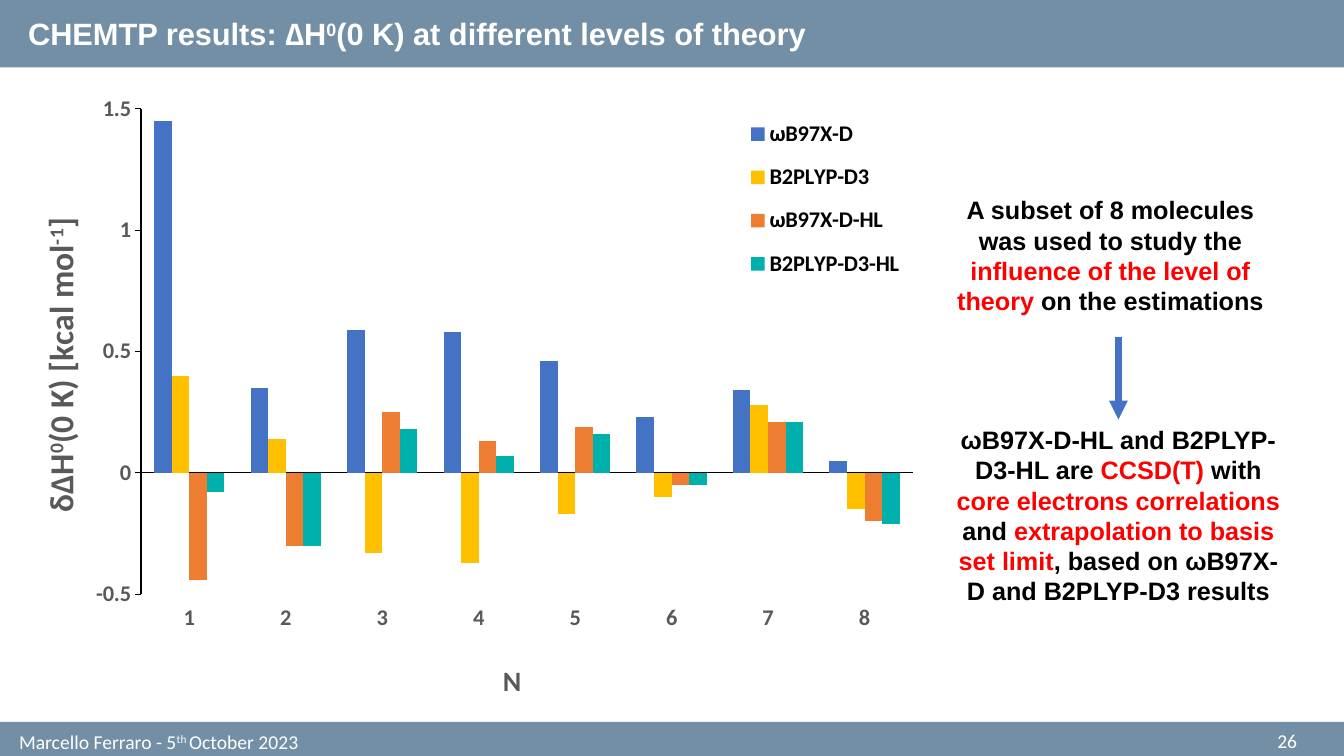
import pptx
import pptx.chart.data
import pptx.dml.color
import pptx.enum.chart
import pptx.enum.shapes
import pptx.enum.text
import pptx.oxml
import pptx.oxml.ns
import pptx.util
from collections import namedtuple
from dataclasses import dataclass

Cm, Pt = pptx.util.Cm, pptx.util.Pt
Align, Anchor = pptx.enum.text.PP_ALIGN, pptx.enum.text.MSO_ANCHOR
RGB = pptx.dml.color.RGBColor.from_string
qn = pptx.oxml.ns.qn
Box = namedtuple("Box", "left top width height")


@dataclass(frozen=True)
class Theme:
    band: str = "728FA5"
    light: str = "FFFFFF"
    ink: str = "000000"
    axis: str = "595959"
    accent: str = "FF0000"
    arrow: str = "4472C4"
    series: tuple = ("4472C4", "FFC000", "ED7D31", "00B0AC")
    heading_font: str = "Arial"
    chart_font: str = "Calibri"
    footer_size: int = 14
    heading_size: int = 22
    note_size: int = 18
    label_size: int = 16
    category_title_size: int = 20
    value_title_size: int = 24


THEME = Theme()
SLIDE = Box(0, 0, 33.87, 19.05)

ENERGIES = {
    "ωB97X-D": (1.45, 0.35, 0.59, 0.58, 0.46, 0.23, 0.34, 0.05),
    "B2PLYP-D3": (0.4, 0.14, -0.33, -0.37, -0.17, -0.1, 0.28, -0.15),
    "ωB97X-D-HL": (-0.44, -0.3, 0.25, 0.13, 0.19, -0.05, 0.21, -0.2),
    "B2PLYP-D3-HL": (-0.08, -0.3, 0.18, 0.07, 0.16, -0.05, 0.21, -0.21),
}
SUBSET = (
    ("A subset of 8 molecules was used to study the ", ""),
    ("influence of the level of theory ", "accent"),
    ("on the estimations", ""),
)
METHOD = (
    ("ωB97X-D-HL and B2PLYP-D3-HL are ", ""),
    ("CCSD(T)", "accent"),
    (" with ", ""),
    ("core electrons correlations ", "accent"),
    ("and ", ""),
    ("extrapolation to basis set limit", "accent"),
    (", based on ωB97X-D and B2PLYP-D3 results", ""),
)


def apply(target, formats):
    for name, value in formats.items():
        setattr(target, name, value)


def style(font, face, size, color, bold=False):
    apply(font, {"name": face, "size": Pt(size), "bold": bold})
    font.color.rgb = RGB(color)


def write(paragraph, pieces, face, size, color, bold=False):
    for words, role in pieces:
        run = paragraph.add_run()
        run.text = words
        style(run.font, face, size, THEME.accent if role == "accent" else color, bold)
        if role == "super":
            run.font._element.set("baseline", "30000")


def add_text(slide, box, pieces, face, size, color, bold=False,
             align=Align.LEFT, anchor=Anchor.TOP):
    text = slide.shapes.add_textbox(*map(Cm, box))
    apply(text.text_frame, {"word_wrap": True, "vertical_anchor": anchor})
    paragraph = text.text_frame.paragraphs[0]
    paragraph.alignment = align
    write(paragraph, pieces, face, size, color, bold)
    return text


def add_band(slide, box):
    band = slide.shapes.add_shape(
        pptx.enum.shapes.MSO_SHAPE.RECTANGLE, *map(Cm, box))
    band.shadow.inherit = False
    band.fill.solid()
    band.fill.fore_color.rgb = RGB(THEME.band)
    band.line.fill.background()


def add_header(slide, box):
    add_band(slide, box)
    add_text(slide, Box(box.left + 0.46, box.top + 0.25, box.width - 0.75, 1.22),
             (("CHEMTP results: ∆H", ""), ("0", "super"),
              ("(0 K) at different levels of theory", "")),
             THEME.heading_font, THEME.heading_size, THEME.light, True)


def add_footer(slide, box):
    add_band(slide, box)
    look = (THEME.chart_font, THEME.footer_size, THEME.light)
    add_text(slide, Box(box.left + 0.23, box.top - 0.03, 10.44, 1.07),
             (("Marcello Ferraro - 5", ""), ("th ", "super"), ("October 2023", "")),
             *look, anchor=Anchor.MIDDLE)
    add_text(slide, Box(box.left + box.width - 11.09, box.top - 0.03, 10.16, 1.02),
             (("26", ""),), *look, align=Align.RIGHT, anchor=Anchor.MIDDLE)


def set_layout(parent, index, **fractions):
    for old in parent.findall(qn("c:layout")):
        parent.remove(old)
    layout = pptx.oxml.parse_xml(
        '<c:layout xmlns:c="http://schemas.openxmlformats.org/drawingml/2006/chart">'
        "<c:manualLayout/></c:layout>")
    settings = {"xMode": "edge", "yMode": "edge", **fractions}
    if parent.tag == qn("c:plotArea"):
        settings = {"layoutTarget": "inner", **settings}
    for name, value in settings.items():
        layout[0].makeelement(qn("c:" + name))
        entry = pptx.oxml.parse_xml(
            f'<c:{name} xmlns:c="http://schemas.openxmlformats.org/drawingml/2006/chart"'
            f' val="{value}"/>')
        layout[0].append(entry)
    parent.insert(index, layout)


def format_axis(axis, formats, title, title_size, **position):
    apply(axis, {"has_major_gridlines": False, **formats})
    style(axis.tick_labels.font, THEME.chart_font, THEME.label_size, THEME.axis, True)
    axis.format.line.color.rgb = RGB(THEME.ink)
    axis.format.line.width = Pt(0.75)
    write(axis.axis_title.text_frame.paragraphs[0], title,
          THEME.chart_font, title_size, THEME.axis, True)
    set_layout(axis.axis_title._element, 1, **position)


def add_energy_chart(slide, box):
    kinds = pptx.enum.chart
    energies = pptx.chart.data.CategoryChartData()
    energies.categories = [str(n) for n in range(1, 9)]
    for method, values in ENERGIES.items():
        energies.add_series(method, values)
    chart = slide.shapes.add_chart(
        kinds.XL_CHART_TYPE.COLUMN_CLUSTERED, *map(Cm, box), energies).chart
    apply(chart, {"has_title": False, "has_legend": True})
    style(chart.font, THEME.chart_font, 10, THEME.ink)
    plot = chart.plots[0]
    apply(plot, {"gap_width": 150, "overlap": 0, "vary_by_categories": False})
    for series, color in zip(plot.series, THEME.series):
        series.invert_if_negative = False
        series.format.fill.solid()
        series.format.fill.fore_color.rgb = RGB(color)
    apply(chart.legend, {"position": kinds.XL_LEGEND_POSITION.RIGHT,
                         "include_in_layout": True})
    style(chart.legend.font, THEME.chart_font, THEME.label_size, THEME.ink, True)
    format_axis(chart.category_axis,
                {"major_tick_mark": kinds.XL_TICK_MARK.NONE,
                 "tick_label_position": kinds.XL_TICK_LABEL_POSITION.LOW},
                (("N", ""),), THEME.category_title_size, x=0.53, y=0.91)
    format_axis(chart.value_axis,
                {"major_tick_mark": kinds.XL_TICK_MARK.OUTSIDE,
                 "minimum_scale": -0.5, "maximum_scale": 1.5, "major_unit": 0.5},
                (("δ∆H", ""), ("0", "super"), ("(0 K) [kcal mol", ""),
                 ("-1", "super"), ("]", "")),
                THEME.value_title_size, x=0.03, y=0.21)
    chart.value_axis.tick_labels.number_format = "General"
    chart.value_axis.tick_labels.number_format_is_linked = False
    set_layout(plot._element.getparent(), 0, x=0.143, y=0.042, w=0.837, h=0.77)
    set_layout(chart.legend._element, 1, x=0.79, y=0.035, w=0.19, h=0.3)


def add_notes_column(slide, box):
    look = (THEME.heading_font, THEME.note_size, THEME.ink, True, Align.CENTER)
    width = box.width - 0.2
    add_text(slide, Box(box.left, box.top, width, 3.33), SUBSET, *look)
    method = add_text(
        slide, Box(box.left + 0.2, box.top + 5.79, width, 4.88), METHOD, *look)
    middle = method.left + method.width // 2
    arrow = slide.shapes.add_connector(
        pptx.enum.shapes.MSO_CONNECTOR.STRAIGHT,
        middle, Cm(box.top + 3.7), middle, method.top)
    arrow.end_connect(method, 0)
    arrow.line.color.rgb = RGB(THEME.arrow)
    arrow.line.width = Pt(4.5)
    namespace = 'xmlns:a="http://schemas.openxmlformats.org/drawingml/2006/main"'
    arrow.line._get_or_add_ln().append(
        pptx.oxml.parse_xml(f'<a:tailEnd {namespace} type="triangle"/>'))
    arrow._element.spPr.append(pptx.oxml.parse_xml(f"<a:effectLst {namespace}/>"))


def main():
    deck = pptx.Presentation()
    apply(deck, {"slide_width": Cm(SLIDE.width), "slide_height": Cm(SLIDE.height)})
    slide = deck.slides.add_slide(deck.slide_layouts[6])
    add_footer(slide, Box(0, 18.19, SLIDE.width, 0.86))
    add_header(slide, Box(0, 0, SLIDE.width, 1.7))
    add_energy_chart(slide, Box(0.23, 2.08, 23.24, 15.88))
    add_notes_column(slide, Box(23.5, 4.78, 9.17, 10.67))
    deck.save("out.pptx")


if __name__ == "__main__":
    main()
